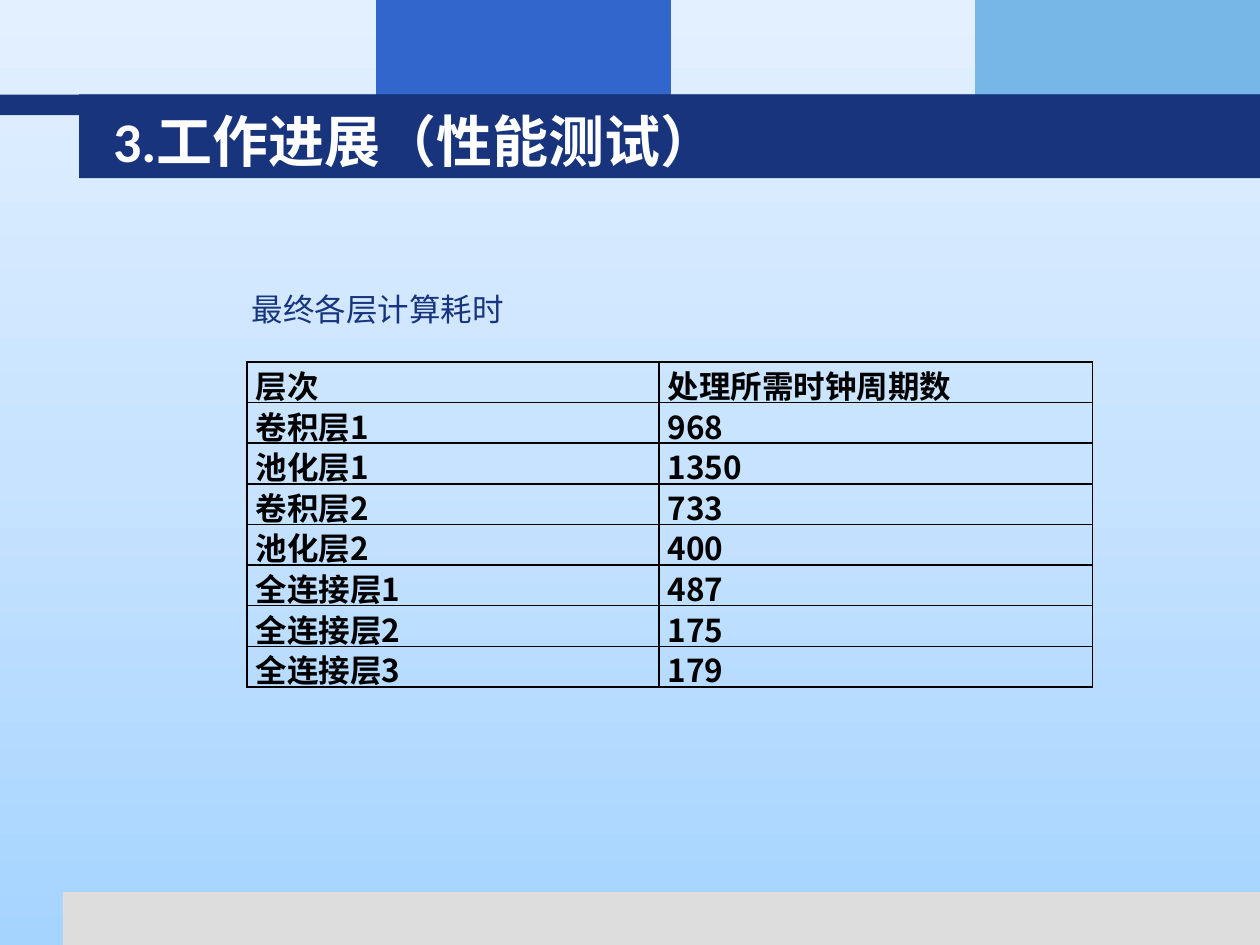
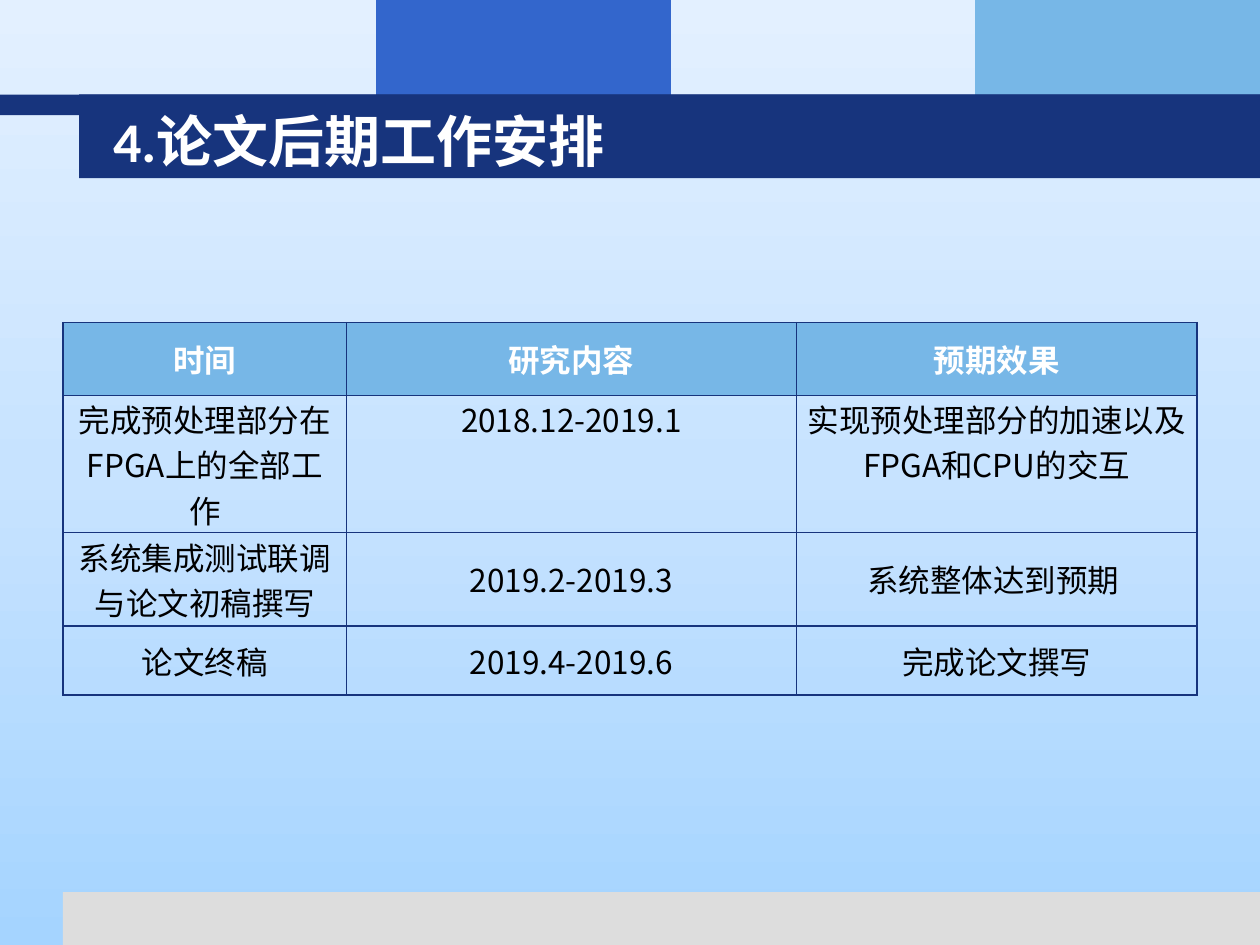
import copy
import dataclasses

import pptx
import pptx.dml.color
import pptx.enum.lang
import pptx.enum.shapes
import pptx.enum.text
import pptx.oxml
import pptx.oxml.ns
import pptx.util

ANCHOR = pptx.enum.text.MSO_ANCHOR
ALIGN = pptx.enum.text.PP_ALIGN


@dataclasses.dataclass(frozen=True)
class Theme:
    width: float = 10
    height: float = 7.5
    navy: str = "17347D"
    blue: str = "3366CC"
    sky: str = "77B7E7"
    grey: str = "DDDDDD"
    white: str = "FFFFFF"
    black: str = "000000"
    table_line: str = "080000"
    backdrop: tuple = ("A5D4FF", "C7E3FF", "E3F0FF")
    heading_font: str = "Calibri"
    body_font: str = "Noto Sans CJK SC"
    title_size: int = 32
    body_size: int = 18
    border_width: int = 1
    cell_inset: float = 0.07


THEME = Theme()

# Bands: left, top, width, height in percent of the slide, then colour
BANDS = [
    (5, 94.4, 95, 5.6, THEME.grey),
    (29.85, 0, 23.4, 12.2, THEME.blue),
    (77.4, 0, 22.6, 12.2, THEME.sky),
    (0, 10, 100, 2.2, THEME.navy),
    (6.27, 10, 93.73, 8.87, THEME.navy),
]

LAYER_CYCLES = [
    ("层次", "处理所需时钟周期数"),
    ("卷积层1", "968"),
    ("池化层1", "1350"),
    ("卷积层2", "733"),
    ("池化层2", "400"),
    ("全连接层1", "487"),
    ("全连接层2", "175"),
    ("全连接层3", "179"),
]

SCHEDULE = [
    ("时间", "研究内容", "预期效果"),
    ("完成预处理部分在FPGA上的全部工作", "2018.12-2019.1",
     "实现预处理部分的加速以及FPGA和CPU的交互"),
    ("系统集成测试联调与论文初稿撰写", "2019.2-2019.3", "系统整体达到预期 "),
    ("论文终稿", "2019.4-2019.6", "完成论文撰写"),
]


def across(percent):
    return pptx.util.Inches(THEME.width * percent / 100)


def down(percent):
    return pptx.util.Inches(THEME.height * percent / 100)


def place(left, top, width, height):
    return across(left), down(top), across(width), down(height)


def rgb(colour):
    return pptx.dml.color.RGBColor.from_string(colour)


def apply(target, values):
    for name, value in values.items():
        setattr(target, name, value)


def write(frame, text, colour, size=THEME.body_size, font=THEME.heading_font,
          bold=False, align=ALIGN.LEFT):
    para = frame.paragraphs[0]
    para.alignment = align
    span = para.add_run()
    span.text = text
    apply(span.font, {
        "name": font, "size": pptx.util.Pt(size), "bold": bold,
        "language_id": pptx.enum.lang.MSO_LANGUAGE_ID.SIMPLIFIED_CHINESE,
    })
    span.font.color.rgb = rgb(colour)


def add_text(page, area, text, colour, anchor=ANCHOR.TOP, **style):
    box = page.shapes.add_textbox(*place(*area))
    apply(box.text_frame, {"word_wrap": True, "vertical_anchor": anchor})
    write(box.text_frame, text, colour, **style)


def add_band(page, left, top, width, height, colour):
    band = page.shapes.add_shape(pptx.enum.shapes.MSO_SHAPE.RECTANGLE,
                                 *place(left, top, width, height))
    band.shadow.inherit = False
    band.fill.solid()
    band.fill.fore_color.rgb = rgb(colour)
    band.line.fill.background()


def paint_backdrop(page):
    fill = page.background.fill
    fill.gradient()
    fill.gradient_angle = 90
    first = next(page.element.iter(pptx.oxml.ns.qn("a:gs")))
    first.addnext(copy.deepcopy(first))
    for index, (stop, colour) in enumerate(zip(fill.gradient_stops, THEME.backdrop)):
        stop.position = index / 2
        stop.color.rgb = rgb(colour)


def add_page(deck, title):
    page = deck.slides.add_slide(deck.slide_layouts[6])
    paint_backdrop(page)
    for band in BANDS:
        add_band(page, *band)
    add_text(page, (8, 10.67, 85.3, 8.27), title, THEME.white, ANCHOR.MIDDLE,
             size=THEME.title_size, bold=True)
    return page


def draw_borders(cell, colour):
    properties = cell._tc.get_or_add_tcPr()
    for index, side in enumerate("LRTB"):
        properties.insert(index, pptx.oxml.parse_xml(
            f'<a:ln{side} {pptx.oxml.ns.nsdecls("a")} '
            f'w="{pptx.util.Pt(THEME.border_width)}"><a:solidFill>'
            f'<a:srgbClr val="{colour}"/></a:solidFill></a:ln{side}>'))


def add_grid(page, left, top, columns, rows, content, line, cell_format):
    """Columns and rows are percents; cell_format(row) gives fill, anchor, text style."""
    frame = page.shapes.add_table(len(rows), len(columns),
                                  *place(left, top, sum(columns), sum(rows)))
    grid = frame.table
    apply(grid, {"first_row": False, "horz_banding": False})
    for column, width in zip(grid.columns, columns):
        column.width = across(width)
    inset = pptx.util.Inches(THEME.cell_inset)
    for index, (row, height, texts) in enumerate(zip(grid.rows, rows, content)):
        row.height = down(height)
        fill, anchor, style = cell_format(index)
        for cell, text in zip(row.cells, texts):
            apply(cell, {"margin_left": inset, "margin_right": inset,
                         "margin_top": 0, "margin_bottom": 0,
                         "vertical_anchor": anchor})
            if fill:
                cell.fill.solid()
                cell.fill.fore_color.rgb = rgb(fill)
            else:
                cell.fill.background()
            draw_borders(cell, line)
            write(cell.text_frame, text, **style)


def cycles_format(row):
    return None, ANCHOR.TOP, {"colour": THEME.black, "font": THEME.body_font, "bold": True}


def schedule_format(row):
    if row == 0:
        return THEME.sky, ANCHOR.MIDDLE, {
            "colour": THEME.white, "bold": True, "align": ALIGN.CENTER}
    anchor = ANCHOR.TOP if row == 1 else ANCHOR.MIDDLE
    return None, anchor, {
        "colour": THEME.black, "font": THEME.body_font, "align": ALIGN.CENTER}


def main():
    deck = pptx.Presentation()
    apply(deck, {"slide_width": across(100), "slide_height": down(100)})

    # Performance test
    page = add_page(deck, "3.工作进展（性能测试）")
    add_text(page, (19, 30, 48.7, 5.33), "最终各层计算耗时", THEME.navy)
    add_grid(page, 19.6, 38.3, [32.7, 34.4], [4.3] * len(LAYER_CYCLES),
             LAYER_CYCLES, THEME.table_line, cycles_format)

    # Remaining schedule; the first task needs room for three lines
    page = add_page(deck, "4.论文后期工作安排")
    add_grid(page, 5, 34.13, [22.5, 35.7, 31.8], [7.73, 14.5, 9.87, 7.33],
             SCHEDULE, THEME.navy, schedule_format)

    deck.save("out.pptx")


if __name__ == "__main__":
    main()
